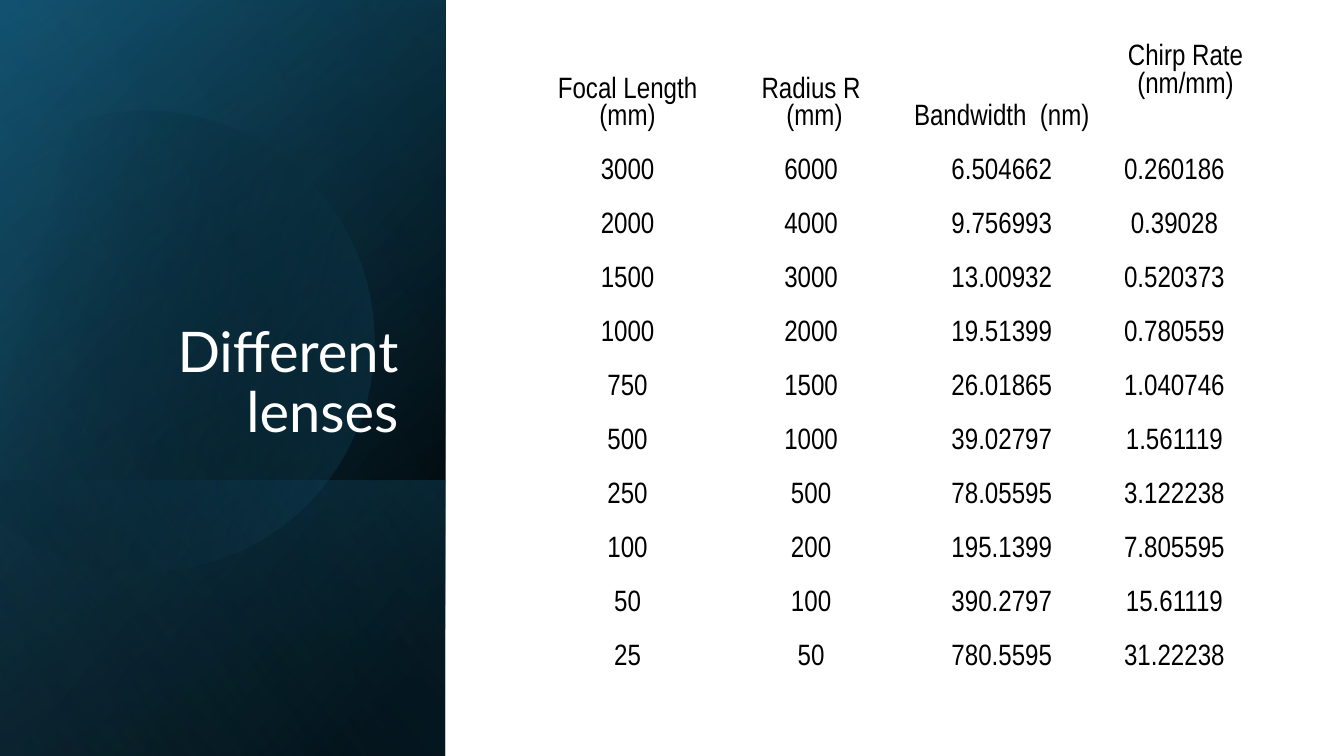
from dataclasses import dataclass
from math import cos, radians, sin

from lxml.etree import SubElement
from pptx import Presentation
from pptx.dml.color import RGBColor
from pptx.enum.shapes import MSO_SHAPE
from pptx.enum.text import MSO_ANCHOR, PP_ALIGN
from pptx.oxml.ns import qn
from pptx.util import Cm, Pt


@dataclass(frozen=True)
class Theme:
    black: str = "000000"
    white: str = "FFFFFF"
    navy: str = "104862"
    teal: str = "156082"
    sky: str = "46B1E1"
    title_font: str = "Lato"
    table_font: str = "Arial Narrow"
    title_size: int = 40
    table_size: int = 21


THEME = Theme()
PANEL_WIDTH, PAGE_HEIGHT = 11.22, 19.05

PANELS = [
    (0, 50, [(8, THEME.black, 100), (100, THEME.navy, 100)]),
    (0, 30, [(0, THEME.black, 0), (99, THEME.teal, 46)]),
    (12.1, 130, [(2, THEME.teal, 29), (100, THEME.black, 30)]),
]
GLOW = (0, 120, [(0, THEME.black, 0), (99, THEME.sky, 11)])

LENS_FRAME = {"left": Cm(-1.4), "top": Cm(2.69), "width": Cm(10.85), "height": Cm(11.61)}
LENS_TILT = 16.1
LENS_STOPS = [(29, THEME.black, 0), (100, THEME.teal, 43)]
LENS_OUTLINE = [
    ("moveTo", [(3.78, 2.79)]),
    ("cubicBezTo", [(6.25, 2.84), (8.51, 4.5), (9.22, 6.99)]),
    ("cubicBezTo", [(10.11, 10.08), (8.33, 13.28), (5.26, 14.17)]),
    ("cubicBezTo", [(3.33, 14.73), (1.35, 14.25), (-0.08, 13.06)]),
    ("lnTo", [(-0.38, 12.78)]),
    ("lnTo", [(-0.38, 4.45)]),
    ("lnTo", [(0, 4.09)]),
    ("cubicBezTo", [(0.58, 3.61), (1.27, 3.25), (2.03, 3.02)]),
    ("cubicBezTo", [(2.62, 2.87), (3.2, 2.79), (3.78, 2.79)]),
    ("close", []),
]

COLUMN_WIDTHS = [4.37, 4.88, 4.73, 3.97, 0.56]
HEADER_HEIGHT, ROW_HEIGHT = 2.44, 1.09
HEADERS = ["Focal Length (mm)", "Radius R\n (mm)", "Bandwidth  (nm)", "Chirp Rate (nm/mm)", ""]
LENSES = [
    ("3000", "6000", "6.504662", "0.260186", ""),
    ("2000", "4000", "9.756993", "0.39028", ""),
    ("1500", "3000", "13.00932", "0.520373", ""),
    ("1000", "2000", "19.51399", "0.780559", ""),
    ("750", "1500", "26.01865", "1.040746", ""),
    ("500", "1000", "39.02797", "1.561119", ""),
    ("250", "500", "78.05595", "3.122238", ""),
    ("100", "200", "195.1399", "7.805595", ""),
    ("50", "100", "390.2797", "15.61119", ""),
    ("25", "50", "780.5595", "31.22238", ""),
]


def apply_format(target, values):
    for name, value in values.items():
        setattr(target, name, value)


def style_font(font, name, size, color):
    apply_format(font, {"name": name, "size": Pt(size)})
    font.color.rgb = RGBColor.from_string(color)


def paint_gradient(shape, angle, stops):
    shape.shadow.inherit = False
    shape.line.fill.background()
    shape.fill.background()
    properties = shape._element.spPr
    gradient = SubElement(properties, qn("a:gradFill"), rotWithShape="1")
    properties.replace(properties.find(qn("a:noFill")), gradient)
    stop_list = SubElement(gradient, qn("a:gsLst"))
    for position, color, opacity in stops:
        stop = SubElement(stop_list, qn("a:gs"), pos=str(position * 1000))
        shade = SubElement(stop, qn("a:srgbClr"), val=color)
        SubElement(shade, qn("a:alpha"), val=str(opacity * 1000))
    SubElement(gradient, qn("a:lin"), ang=str(angle * 60000), scaled="0")


def add_panel(page, top, angle, stops):
    height = PAGE_HEIGHT - top
    left = (PANEL_WIDTH - height) / 2
    upright_top = top + (height - PANEL_WIDTH) / 2
    panel = page.shapes.add_shape(
        MSO_SHAPE.RECTANGLE, Cm(left), Cm(upright_top), Cm(height), Cm(PANEL_WIDTH)
    )
    panel.rotation = 90
    panel._element.spPr.find(qn("a:xfrm")).set("flipH", "1")
    paint_gradient(panel, angle, stops)


def upright_point(x, y):
    half_width, half_height = LENS_FRAME["width"] / 2, LENS_FRAME["height"] / 2
    across = Cm(x) - LENS_FRAME["left"] - half_width
    down = Cm(y) - LENS_FRAME["top"] - half_height
    turn = radians(LENS_TILT)
    return (
        round(half_width + across * cos(turn) - down * sin(turn)),
        round(half_height + across * sin(turn) + down * cos(turn)),
    )


def add_lens(page):
    builder = page.shapes.build_freeform()
    builder.add_line_segments([(LENS_FRAME["width"], LENS_FRAME["height"])])
    lens = builder.convert_to_shape()
    apply_format(lens, {**LENS_FRAME, "rotation": 360 - LENS_TILT})
    outline = next(lens._element.iter(qn("a:path")))
    for step in list(outline):
        outline.remove(step)
    for command, points in LENS_OUTLINE:
        step = SubElement(outline, qn(f"a:{command}"))
        for point in points:
            x, y = upright_point(*point)
            SubElement(step, qn("a:pt"), x=str(x), y=str(y))
    paint_gradient(lens, 30, LENS_STOPS)


def add_title(page):
    box = page.shapes.add_textbox(Cm(1.63), Cm(4.68), Cm(8.66), Cm(6.65))
    apply_format(box.text_frame, {"word_wrap": True, "vertical_anchor": MSO_ANCHOR.BOTTOM})
    para = box.text_frame.paragraphs[0]
    apply_format(para, {"alignment": PP_ALIGN.RIGHT, "line_spacing": 0.9})
    span = para.add_run()
    span.text = "Different lenses"
    style_font(span.font, THEME.title_font, THEME.title_size, THEME.white)


def fill_cell(cell, text, roomy):
    cell.fill.background()
    side, top, bottom = (0.48, 0.23, 0.24) if roomy else (0.03, 0.03, 0)
    apply_format(cell, {
        "margin_left": Cm(side if text else 0.03),
        "margin_right": Cm(side if text else 0.03),
        "margin_top": Cm(top),
        "margin_bottom": Cm(bottom),
        "vertical_anchor": MSO_ANCHOR.TOP if roomy else MSO_ANCHOR.BOTTOM,
    })
    if not text:
        ending = SubElement(
            cell.text_frame.paragraphs[0]._p, qn("a:endParaRPr"), sz=str(THEME.table_size * 100)
        )
        SubElement(ending, qn("a:latin"), typeface=THEME.title_font)
        return
    cell.text = text
    for para in cell.text_frame.paragraphs:
        para.alignment = PP_ALIGN.CENTER
        for span in para.runs:
            style_font(span.font, THEME.table_font, THEME.table_size, THEME.black)


def add_lens_table(page):
    rows = [HEADERS, *LENSES]
    height = HEADER_HEIGHT + ROW_HEIGHT * len(LENSES)
    table = page.shapes.add_table(
        len(rows), len(COLUMN_WIDTHS), Cm(13.63), Cm(0.89), Cm(sum(COLUMN_WIDTHS)), Cm(height)
    ).table
    apply_format(table, {"first_row": False, "horz_banding": False})
    for column, width in zip(table.columns, COLUMN_WIDTHS):
        column.width = Cm(width)
    for row_index, values in enumerate(rows):
        table.rows[row_index].height = Cm(ROW_HEIGHT if row_index else HEADER_HEIGHT)
        for column_index, text in enumerate(values):
            roomy = not text or (row_index == 0 and column_index == 3)
            fill_cell(table.cell(row_index, column_index), text, roomy)
    table.cell(0, 3).merge(table.cell(0, 4))


def main():
    deck = Presentation()
    apply_format(deck, {"slide_width": Cm(33.87), "slide_height": Cm(PAGE_HEIGHT)})
    page = deck.slides.add_slide(deck.slide_layouts[6])
    for panel in PANELS:
        add_panel(page, *panel)
    add_lens(page)
    add_panel(page, *GLOW)
    add_title(page)
    add_lens_table(page)
    deck.save("out.pptx")


if __name__ == "__main__":
    main()
